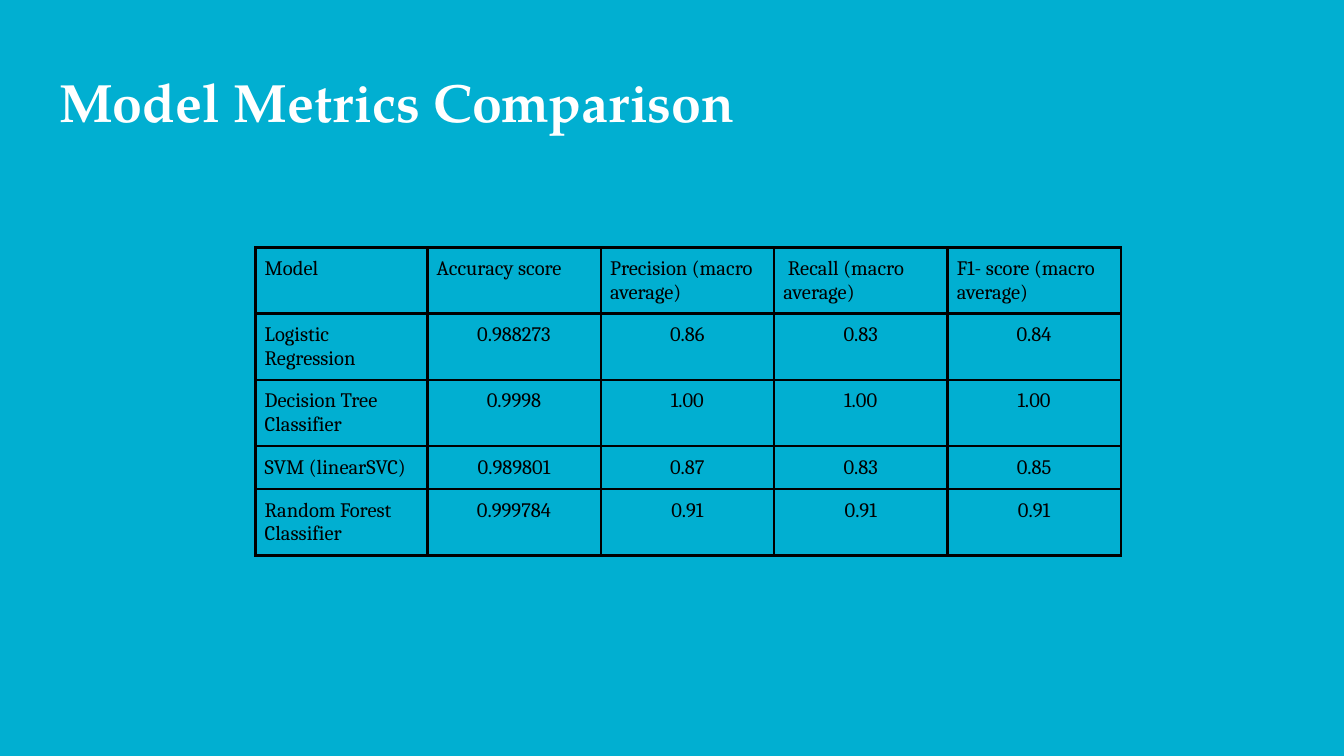
from dataclasses import dataclass

from lxml import etree
from pptx import Presentation, util as u
from pptx.dml.color import RGBColor
from pptx.enum import text
from pptx.oxml.ns import qn


@dataclass(frozen=True)
class Theme:
    background: str = "01AFD1"
    title_color: str = "FFFFFF"
    ink: str = "000000"
    title_font: str = "TeX Gyre Pagella"
    body_font: str = "Cambria"
    title_size: float = 28.8
    body_size: float = 11
    border: float = 1.5


THEME = Theme()
WIDTH = 10
HEIGHT = WIDTH * 9 / 16
LEFT, TOP = 1.9, 1.84
COLUMNS = [1.28] + [1.29] * 4
ROWS = [0.49, 0.49, 0.49, 0.32, 0.49]
METRICS = [
    ["Model", "Accuracy score", "Precision (macro average)",
     " Recall (macro average)", "F1- score (macro average)"],
    ["Logistic Regression", "0.988273", "0.86", "0.83", "0.84"],
    ["Decision Tree Classifier", "0.9998", "1.00", "1.00", "1.00"],
    ["SVM (linearSVC)", "0.989801", "0.87", "0.83", "0.85"],
    ["Random Forest Classifier", "0.999784", "0.91", "0.91", "0.91"],
]


def apply(obj, **values):
    for name, value in values.items():
        setattr(obj, name, value)


def write(tf, words, font, size, color, bold=False, align=text.PP_ALIGN.LEFT):
    p = tf.paragraphs[0]
    p.alignment = align
    r = p.add_run()
    r.text = words
    apply(r.font, name=font, size=u.Pt(size), bold=bold)
    r.font.color.rgb = RGBColor.from_string(color)


def add_title(s, words):
    sp = s.shapes.title
    apply(sp, left=u.Inches(0.34), top=u.Inches(0.41),
          width=u.Inches(WIDTH - 2 * 0.34), height=u.Inches(0.71))
    tf = sp.text_frame
    inset = u.Inches(0.1)
    apply(tf, margin_left=inset, margin_right=inset, margin_top=inset,
          margin_bottom=inset, word_wrap=True,
          vertical_anchor=text.MSO_ANCHOR.TOP)
    write(tf, words, THEME.title_font, THEME.title_size, THEME.title_color, bold=True)


def set_borders(cell):
    """Draw all four cell edges; call before setting the fill, which follows them in the XML."""
    tc_pr = cell._tc.get_or_add_tcPr()
    for edge in ("lnL", "lnR", "lnT", "lnB"):
        ln = etree.SubElement(tc_pr, qn(f"a:{edge}"), w=str(u.Pt(THEME.border)))
        fill = etree.SubElement(ln, qn("a:solidFill"))
        etree.SubElement(fill, qn("a:srgbClr"), val=THEME.ink)


def format_cell(cell, words, align):
    inset = u.Inches(0.07)
    apply(cell, margin_left=inset, margin_right=inset,
          margin_top=inset, margin_bottom=inset)
    set_borders(cell)
    cell.fill.background()
    write(cell.text_frame, words, THEME.body_font, THEME.body_size, THEME.ink, align=align)


def add_metrics_table(s):
    table = s.shapes.add_table(
        len(ROWS), len(COLUMNS), u.Inches(LEFT), u.Inches(TOP),
        u.Inches(sum(COLUMNS)), u.Inches(sum(ROWS))).table
    apply(table, first_row=False, horz_banding=False)
    for column, width in zip(table.columns, COLUMNS):
        column.width = u.Inches(width)
    for row, height in zip(table.rows, ROWS):
        row.height = u.Inches(height)
    for i, record in enumerate(METRICS):
        for j, words in enumerate(record):
            is_score = i > 0 and j > 0
            align = text.PP_ALIGN.CENTER if is_score else text.PP_ALIGN.LEFT
            format_cell(table.cell(i, j), words, align)


def main():
    prs = Presentation()
    apply(prs, slide_width=u.Inches(WIDTH), slide_height=u.Inches(HEIGHT))
    s = prs.slides.add_slide(prs.slide_layouts[5])
    s.background.fill.solid()
    s.background.fill.fore_color.rgb = RGBColor.from_string(THEME.background)
    add_title(s, "Model Metrics Comparison")
    add_metrics_table(s)
    prs.save("out.pptx")


if __name__ == "__main__":
    main()
